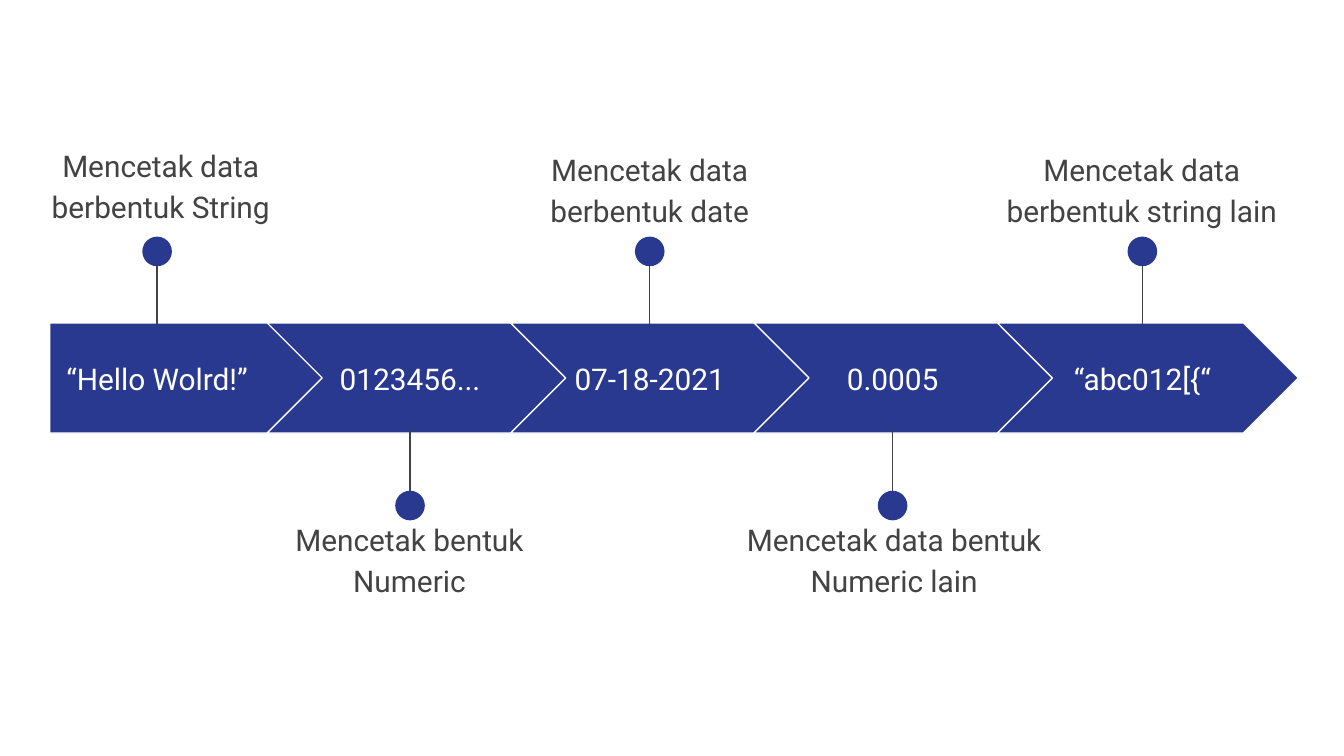
"""Build a five-step arrow band with pinned notes above and below."""
import dataclasses

import pptx
import pptx.dml.color
import pptx.enum.shapes
import pptx.enum.text
import pptx.oxml.ns
import pptx.util
from lxml import etree

Cm = pptx.util.Cm
Pt = pptx.util.Pt
Kind = pptx.enum.shapes.MSO_SHAPE
Anchor = pptx.enum.text.MSO_ANCHOR


@dataclasses.dataclass(frozen=True)
class Theme:
    font: str = "Roboto"
    size: int = 16
    line: float = 0.75
    blue: str = "2A3990"
    grey: str = "434343"
    white: str = "FFFFFF"


@dataclasses.dataclass(frozen=True)
class Step:
    word: str
    note: str
    mid: float
    note_mid: float
    note_top: float
    wide: float = 3.66


THEME = Theme()
STEPS = [
    Step("“Hello Wolrd!”", "Mencetak data berbentuk String", 2.97, 3.04, 2.44, 4.04),
    Step("0123456...", "Mencetak bentuk Numeric", 7.75, 7.74, 9.5),
    Step("07-18-2021", "Mencetak data berbentuk date", 12.28, 12.28, 2.51),
    Step("0.0005", "Mencetak data bentuk Numeric lain", 16.87, 16.9, 9.5),
    Step("“abc012[{“", "Mencetak data berbentuk string lain", 21.59, 21.58, 2.51),
]
BAND_TOP, BAND_HIGH = 6.1, 2.08
PITCH = 4.6


def color(code):
    return pptx.dml.color.RGBColor.from_string(code)


def add_form(shapes, kind, left, top, wide, high, edge=None):
    form = shapes.add_shape(kind, Cm(left), Cm(top), Cm(wide), Cm(high))
    form.shadow.inherit = False
    form.fill.solid()
    form.fill.fore_color.rgb = color(THEME.blue)
    if edge:
        form.line.color.rgb = color(edge)
        form.line.width = Pt(THEME.line)
    else:
        form.line.fill.background()
    return form


def add_text(shapes, text, mid, top, wide, high, ink, anchor):
    box = shapes.add_textbox(Cm(mid - wide / 2), Cm(top), Cm(wide), Cm(high))
    frame = box.text_frame
    frame.word_wrap = True
    frame.vertical_anchor = anchor
    frame.margin_left = frame.margin_right = Cm(0.25)
    frame.margin_top = frame.margin_bottom = Cm(0.25)
    para = frame.paragraphs[0]
    para.text = text
    para.alignment = pptx.enum.text.PP_ALIGN.CENTER
    para.font.name = THEME.font
    para.font.size = Pt(THEME.size)
    para.font.color.rgb = color(ink)
    return para


def add_arrow(shapes, index):
    if index == 0:
        kind, left, wide = Kind.PENTAGON, 0.94, 5.21
    else:
        kind, left, wide = Kind.CHEVRON, 5.05 + PITCH * (index - 1), 5.69
    form = add_form(shapes, kind, left, BAND_TOP, wide, BAND_HIGH, THEME.white)
    form.adjustments[0] = 0.5


def add_pin(shapes, mid, above):
    dot = 0.56
    if above:
        dot_top, start, end = 4.47, 4.57, BAND_TOP + 0.02
    else:
        dot_top, start, end = 9.27, 9.7, BAND_TOP + BAND_HIGH - 0.03
    group = shapes.add_group_shape().shapes
    stem = group.add_connector(
        pptx.enum.shapes.MSO_CONNECTOR.STRAIGHT, Cm(mid), Cm(start), Cm(mid), Cm(end)
    )
    stem.line.color.rgb = color(THEME.grey)
    stem.line.width = Pt(THEME.line)
    etree.SubElement(stem._element.spPr, pptx.oxml.ns.qn("a:effectLst"))
    add_form(group, Kind.OVAL, mid - dot / 2, dot_top, dot, dot)


def add_note(shapes, step):
    para = add_text(
        shapes, step.note, step.note_mid, step.note_top, 6.22, 2.51, THEME.grey, Anchor.TOP
    )
    para.line_spacing = 1.15
    para.space_after = Pt(16)


def main():
    deck = pptx.Presentation()
    deck.slide_width, deck.slide_height = Cm(25.4), Cm(14.28)
    shapes = deck.slides.add_slide(deck.slide_layouts[6]).shapes
    for index, step in enumerate(STEPS):
        add_arrow(shapes, index)
        add_text(shapes, step.word, step.mid, 6.5, step.wide, 1.3, THEME.white, Anchor.MIDDLE)
        add_pin(shapes, step.mid, index % 2 == 0)
        add_note(shapes, step)
    deck.save("out.pptx")


if __name__ == "__main__":
    main()
